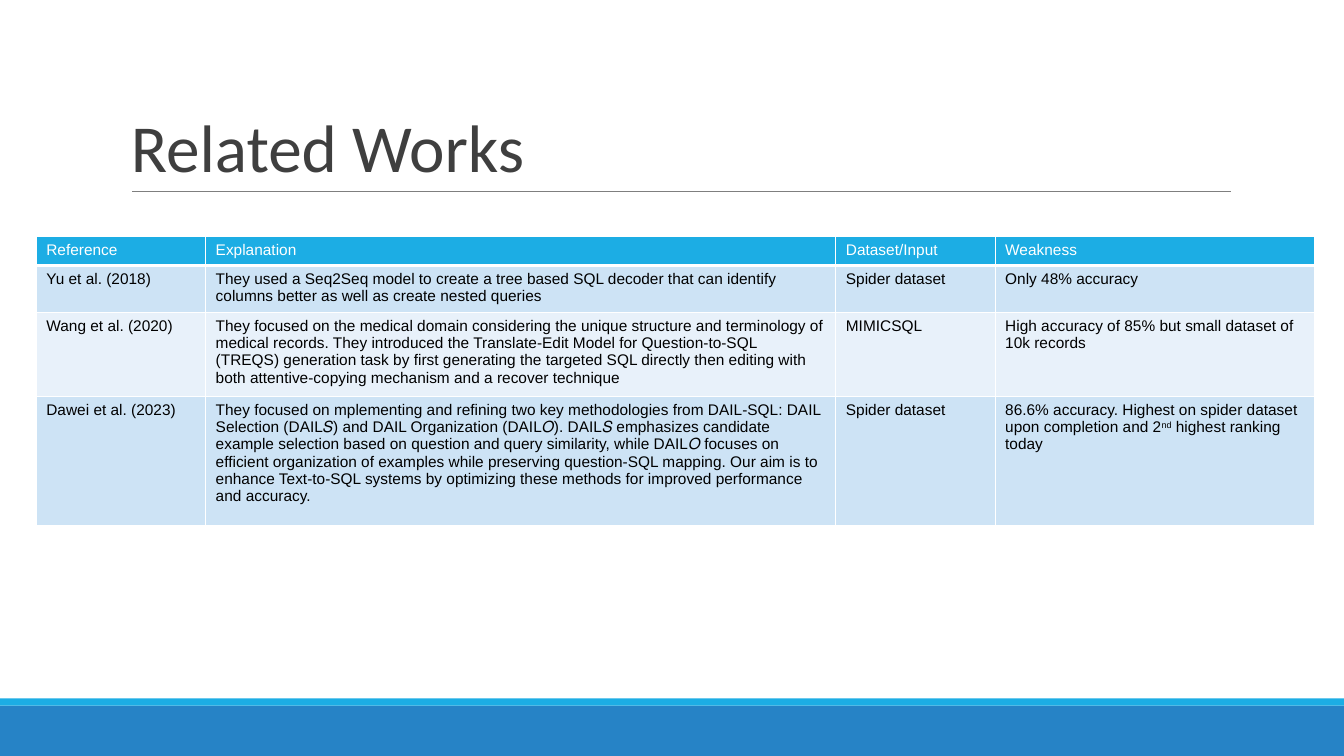
import pptx
import pptx.util
import pptx.dml.color
import pptx.enum.shapes
import pptx.enum.text
import pptx.oxml.ns
from lxml import etree
from pptx.util import Inches, Pt

COLORS = {
    "blue": "2683C6",
    "cyan": "1CADE4",
    "rule": "7F7F7F",
    "title": "3F3F3F",
    "white": "FFFFFF",
    "black": "000000",
    "dark band": "CDE3F5",
    "light band": "E8F1FA",
}
COLUMN_WIDTHS = [1.68, 6.25, 1.58, 3.17]
ROW_HEIGHTS = [0.27, 0.43, 0.78, 1.28]
WORKS = [
    ["Reference", "Explanation", "Dataset/Input", "Weakness"],
    [
        "Yu et al. (2018)",
        "They used a Seq2Seq model to create a tree based SQL decoder that can identify "
        "columns better as well as create nested queries",
        "Spider dataset",
        "Only 48% accuracy",
    ],
    [
        "Wang et al. (2020)",
        "They focused on the medical domain considering the unique structure and terminology of "
        "medical records. They introduced the Translate-Edit Model for Question-to-SQL (TREQS) "
        "generation task by first generating the targeted SQL directly then editing with both "
        "attentive-copying mechanism and a recover technique",
        "MIMICSQL",
        "High accuracy of 85% but small dataset of 10k records",
    ],
    [
        "Dawei et al. (2023)",
        "They focused on mplementing and refining two key methodologies from DAIL-SQL: DAIL "
        "Selection (DAIL𝑆) and DAIL Organization (DAIL𝑂). DAIL𝑆 emphasizes candidate "
        "example selection based on question and query similarity, while DAIL𝑂 focuses on "
        "efficient organization of examples while preserving question-SQL mapping. Our aim is to "
        "enhance Text-to-SQL systems by optimizing these methods for improved performance "
        "and accuracy.",
        "Spider dataset",
        "86.6% accuracy. Highest on spider dataset upon completion and 2^nd^ highest ranking today",
    ],
]


def rgb(name):
    """Return the named colour."""
    return pptx.dml.color.RGBColor.from_string(COLORS[name])


def style_span(span, font, size, color):
    """Set the font, size and colour of a run."""
    span.font.name = font
    span.font.size = Pt(size)
    span.font.color.rgb = rgb(color)


def add_band(page, top, height, color):
    """Add a full-width coloured band."""
    band = page.shapes.add_shape(
        pptx.enum.shapes.MSO_SHAPE.RECTANGLE, 0, Inches(top), Inches(13.33), Inches(height))
    band.shadow.inherit = False
    band.fill.solid()
    band.fill.fore_color.rgb = rgb(color)
    band.line.fill.background()


def add_rule(page, left, right, top):
    """Add the thin horizontal line under the title."""
    rule = page.shapes.add_connector(
        pptx.enum.shapes.MSO_CONNECTOR.STRAIGHT,
        Inches(left), Inches(top), Inches(right), Inches(top))
    rule.line.color.rgb = rgb("rule")
    rule.line.width = Pt(0.75)
    etree.SubElement(rule._element.spPr, pptx.oxml.ns.qn("a:effectLst"))


def add_title(page, text):
    """Add the slide title, anchored at the bottom of its box."""
    box = page.shapes.add_textbox(Inches(1.2), Inches(0.31), Inches(11), Inches(1.59))
    frame = box.text_frame
    frame.word_wrap = True
    frame.vertical_anchor = pptx.enum.text.MSO_ANCHOR.BOTTOM
    frame.text = text
    para = frame.paragraphs[0]
    para.line_spacing = 0.85
    style_span(para.runs[0], "Calibri", 48, "title")


def set_borders(cell, top, bottom):
    """Give a cell white borders, with the top and bottom widths in points."""
    properties = cell._tc.get_or_add_tcPr()
    for side, width in (("L", 1), ("R", 1), ("T", top), ("B", bottom)):
        line = etree.SubElement(
            properties, pptx.oxml.ns.qn(f"a:ln{side}"), w=str(Pt(width)))
        fill = etree.SubElement(line, pptx.oxml.ns.qn("a:solidFill"))
        etree.SubElement(fill, pptx.oxml.ns.qn("a:srgbClr"), val=COLORS["white"])


def fill_cell(cell, text, text_color, fill_color):
    """Write and colour a cell; text between carets is superscript."""
    para = cell.text_frame.paragraphs[0]
    for index, part in enumerate(text.split("^")):
        span = para.add_run()
        span.text = part
        style_span(span, "Arial", 11, text_color)
        if index % 2:
            span._r.get_or_add_rPr().set("baseline", "30000")
    cell.fill.solid()
    cell.fill.fore_color.rgb = rgb(fill_color)


def add_works_table(page):
    """Add the table of related works."""
    table = page.shapes.add_table(
        len(WORKS), len(COLUMN_WIDTHS), Inches(0.36), Inches(2.35),
        Inches(sum(COLUMN_WIDTHS)), Inches(sum(ROW_HEIGHTS))).table
    for column, width in zip(table.columns, COLUMN_WIDTHS):
        column.width = Inches(width)
    for number, (row, height, texts) in enumerate(zip(table.rows, ROW_HEIGHTS, WORKS)):
        row.height = Inches(height)
        text_color = "black" if number else "white"
        band = "dark band" if number % 2 else "light band"
        for cell, text in zip(row.cells, texts):
            set_borders(cell, 3 if number == 1 else 1, 1 if number else 3)
            fill_cell(cell, text, text_color, band if number else "cyan")


def main():
    """Build and save the slide."""
    deck = pptx.Presentation()
    deck.slide_width = Inches(13.33)
    deck.slide_height = Inches(7.5)
    page = deck.slides.add_slide(deck.slide_layouts[6])
    add_band(page, 7, 0.5, "blue")
    add_band(page, 6.93, 0.07, "cyan")
    add_rule(page, 1.31, 12.21, 1.9)
    add_title(page, "Related Works")
    add_works_table(page)
    deck.save("out.pptx")


if __name__ == "__main__":
    main()
